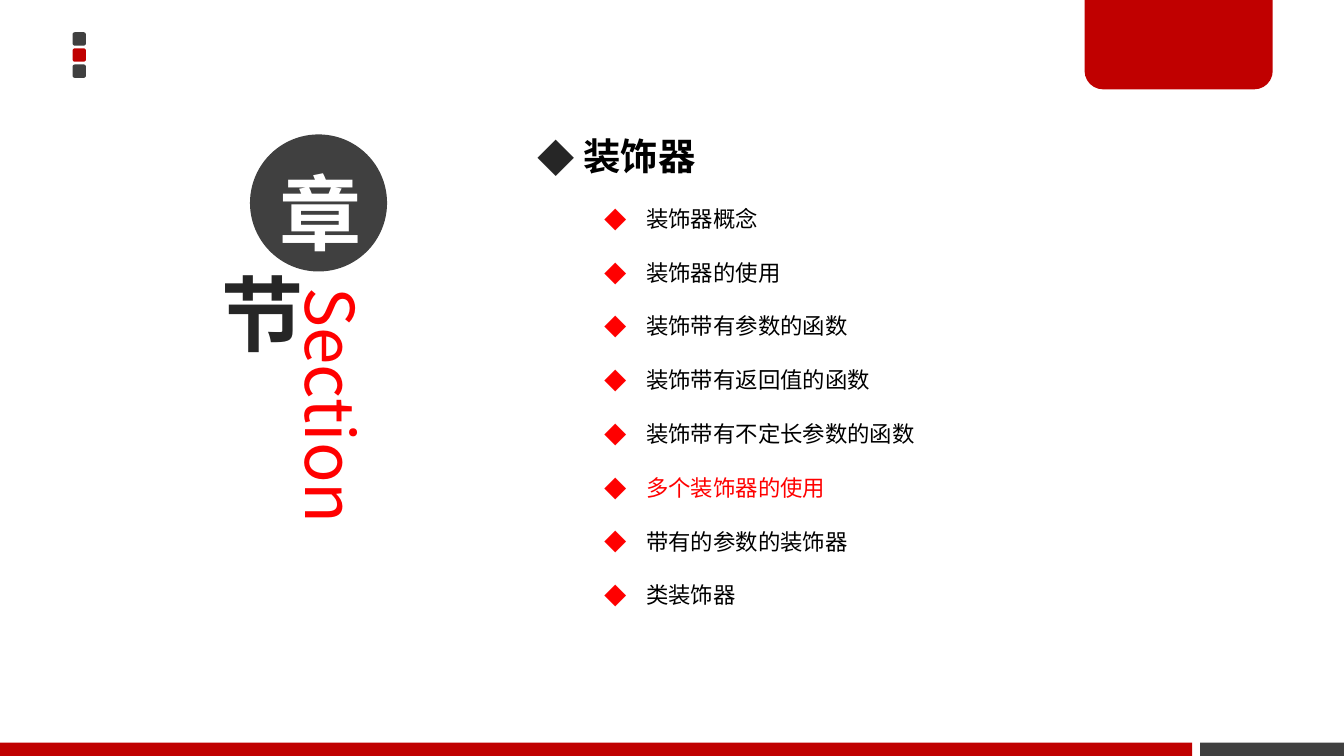
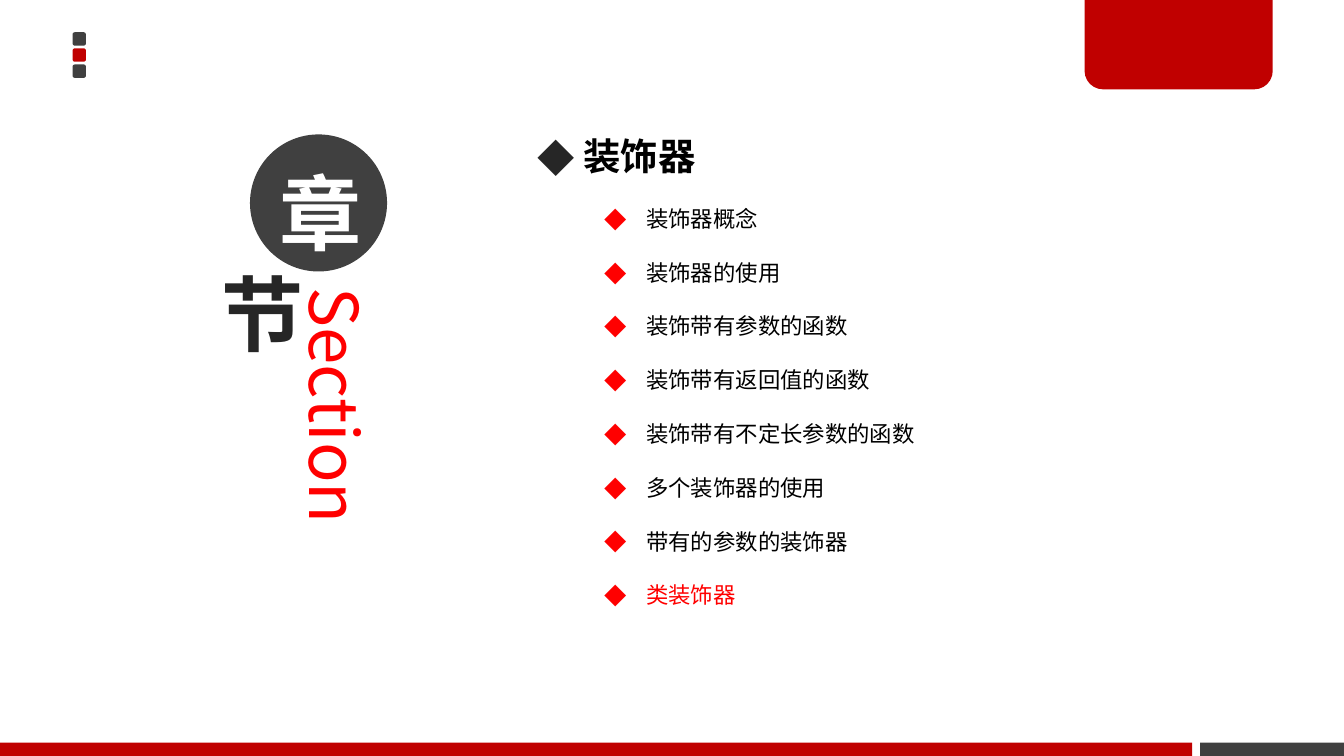
"""Builds two chapter slides on decorators that share one layout."""
from pptx import Presentation
from pptx.dml.color import RGBColor
from pptx.enum.shapes import MSO_SHAPE as Kind
from pptx.enum.text import MSO_ANCHOR as Anchor, MSO_AUTO_SIZE as Fit, PP_ALIGN as Align
from pptx.oxml import parse_xml
from pptx.oxml.ns import nsdecls
from pptx.util import Inches, Pt

FONT = "Noto Sans CJK SC"
DARK, RED, HOT, INK, WHITE, BLACK = "404040", "C00000", "FF0000", "262626", "FFFFFF", "000000"
COLS = 100
TOPICS = ["装饰器概念", "装饰器的使用", "装饰带有参数的函数", "装饰带有返回值的函数",
          "装饰带有不定长参数的函数", "多个装饰器的使用", "带有的参数的装饰器", "类装饰器"]
SLIDES = [("多个装饰器的使用", 21.4), ("类装饰器", 21.7)]

deck = Presentation()
deck.slide_width = Inches(10)
deck.slide_height = deck.slide_width * 9 // 16
cell = deck.slide_width / COLS
rows = deck.slide_height / cell
blank = deck.slide_layouts[6]
for hold in list(blank.placeholders):
    hold.element.getparent().remove(hold.element)


def block(slide, kind, box, fill=None, adj=()):
    """Add a preset shape, or a text box if kind is None, on the grid."""
    spot = [round(n * cell) for n in box]
    if kind is None:
        shape = slide.shapes.add_textbox(*spot)
        shape.text_frame.word_wrap = True
        return shape
    shape = slide.shapes.add_shape(kind, *spot)
    shape.shadow.inherit = False
    shape.line.fill.background()
    for i, part in enumerate(adj):
        shape.adjustments[i] = part
    if fill:
        shape.fill.solid()
        shape.fill.fore_color.rgb = RGBColor.from_string(fill)
    else:
        shape.fill.background()
    return shape


def write(para, text, size, color, bold=False, **form):
    """Add a run to a paragraph and set the paragraph's format."""
    for key, val in form.items():
        setattr(para, key, val)
    run = para.add_run()
    run.text = text
    for key, val in {"size": Pt(size), "bold": bold, "name": FONT}.items():
        setattr(run.font, key, val)
    run.font.color.rgb = RGBColor.from_string(color)
    look = run._r.get_or_add_rPr()
    look.append(parse_xml(f'<a:ea {nsdecls("a")} typeface="{FONT}"/>'))
    return look


for num, (hot, left) in enumerate(SLIDES):
    slide = deck.slides.add_slide(blank)

    if num == 0:
        decor = [(Kind.ROUNDED_RECTANGLE, (5.4, 2.4 + 1.2 * i, 1, 1), tone, [0.17])
                 for i, tone in enumerate([DARK, RED, DARK])]
        decor += [(Kind.RECTANGLE, (89.3, rows - 1, COLS - 89.3, 1), DARK),
                  (Kind.ROUND_2_SAME_RECTANGLE, (80.7, -0.2, 14, 6.85), RED, [0, 0.2]),
                  (Kind.RECTANGLE, (0, rows - 1, 88.7, 1), RED)]
        for item in decor:
            blank.shapes.element.append(block(slide, *item).element)

    side = block(slide, None, (left, 21, 7, 28.9))
    disc = block(slide, Kind.OVAL, (18.6, 10, 10.2, 10.2), DARK)
    ring = block(slide, Kind.OVAL, (14.6, 19.25, 8, 8))
    for shape, low in [(side, 0.04), (disc, 0.15), (ring, 0.04)]:
        form = {"margin_left": 0.07, "margin_top": 0.04, "margin_right": 0.07, "margin_bottom": low}
        for key, val in form.items():
            setattr(shape.text_frame, key, Inches(val))
    for shape in (disc, ring):
        shape.text_frame.vertical_anchor = Anchor.MIDDLE

    side.text_frame._txBody.bodyPr.set("vert", "vert")
    write(side.text_frame.paragraphs[0], "Section", 36, HOT)
    write(disc.text_frame.paragraphs[0], "章", 44, WHITE, True,
          alignment=Align.CENTER, line_spacing=Pt(70))
    look = write(ring.text_frame.paragraphs[0], "节", 44, INK, True, alignment=Align.CENTER)
    look.insert(0, parse_xml(f'<a:ln {nsdecls("a")} w="3175"><a:solidFill>'
                             f'<a:srgbClr val="{WHITE}"/></a:solidFill></a:ln>'))

    frame = block(slide, None, (39, 6.1, 47.2, 43.5)).text_frame
    frame.auto_size = Fit.SHAPE_TO_FIT_TEXT
    lines = [(" 装饰器", 20, BLACK, True, 0, 0.19, 0.19, INK)]
    lines += [(topic, 12, HOT if topic == hot else BLACK, False, 1, 0.81, 0.31, HOT)
              for topic in TOPICS]
    for i, (text, size, color, bold, level, inset, hang, mark) in enumerate(lines):
        para = frame.add_paragraph() if i else frame.paragraphs[0]
        write(para, text, size, color, bold, level=level, line_spacing=2.0)
        props = para._p.get_or_add_pPr()
        props.set("marL", str(Inches(inset)))
        props.set("indent", str(-Inches(hang)))
        for tag in (f'buClr {nsdecls("a")}><a:srgbClr val="{mark}"/></a:buClr',
                    f'buFont {nsdecls("a")} typeface="{FONT}"/',
                    f'buChar {nsdecls("a")} char="◆"/'):
            props.append(parse_xml(f"<a:{tag}>"))

deck.save("out.pptx")
